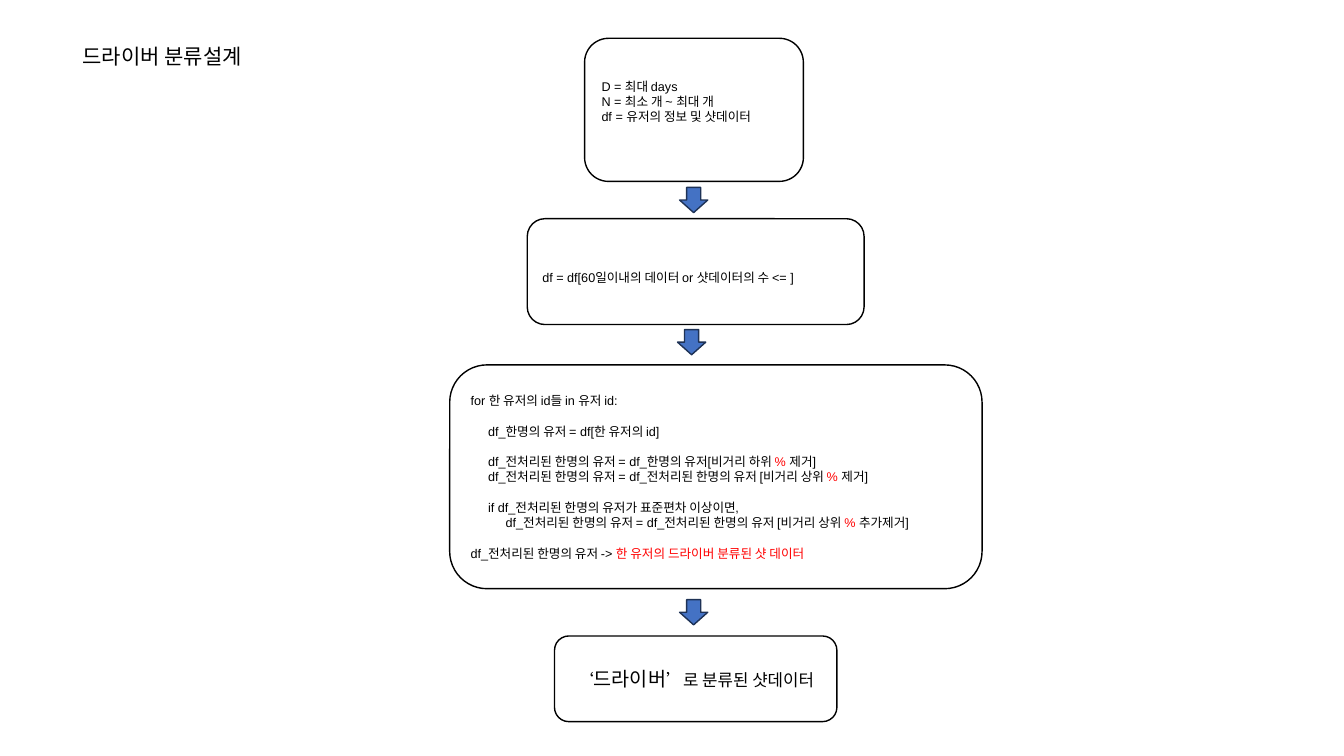
from pptx import Presentation
from pptx import util as u
from pptx.dml.color import RGBColor
from pptx.enum import shapes, text

COLORS = {"ink": "000000", "paper": "FFFFFF", "accent": "FF0000",
          "arrow": "4472C4", "arrow_line": "1E3256"}
FONT = "Arial"
WIDTH, HEIGHT = u.Inches(13.33), u.Inches(7.5)
BODY = 9
INDENT = u.Inches(0.174)
BLANK_LINE = u.Pt(11)


def color(name):
    return RGBColor.from_string(COLORS[name])


def area(left, top, width, height):
    """Turn percentages of the slide's size into lengths."""
    return (int(WIDTH * left / 100), int(HEIGHT * top / 100),
            int(WIDTH * width / 100), int(HEIGHT * height / 100))


def format_run(r, size, ink="ink"):
    r.font.name, r.font.size = FONT, u.Pt(size)
    r.font.color.rgb = color(ink)


def add_title(s, words, box):
    sp = s.shapes.title
    sp.left, sp.top, sp.width, sp.height = area(*box)
    tf = sp.text_frame
    tf.text = words
    tf.word_wrap = False
    tf.auto_size = text.MSO_AUTO_SIZE.SHAPE_TO_FIT_TEXT
    tf.vertical_anchor = text.MSO_ANCHOR.TOP
    p = tf.paragraphs[0]
    p.alignment = text.PP_ALIGN.LEFT
    format_run(p.runs[0], 15)


def add_preset(s, kind, box, fill, line):
    sp = s.shapes.add_shape(kind, *area(*box))
    sp.shadow.inherit = False
    sp.fill.solid()
    sp.fill.fore_color.rgb = color(fill)
    sp.line.color.rgb = color(line)
    sp.line.width = u.Pt(1)
    return sp


def add_arrow(s, left, top):
    add_preset(s, shapes.MSO_SHAPE.DOWN_ARROW, (left, top, 2.1, 3.33), "arrow", "arrow_line")


def add_step(s, box, lines, align=text.PP_ALIGN.LEFT, top=0.05, bottom=0.05):
    """Each line is (indent level, blank lines before, runs of (words, size, colour))."""
    sp = add_preset(s, shapes.MSO_SHAPE.ROUNDED_RECTANGLE, box, "paper", "ink")
    tf = sp.text_frame
    tf.word_wrap = True
    tf.vertical_anchor = text.MSO_ANCHOR.MIDDLE
    tf.margin_top, tf.margin_bottom = u.Inches(top), u.Inches(bottom)
    for i, (level, gap, runs) in enumerate(lines):
        p = tf.paragraphs[0] if i == 0 else tf.add_paragraph()
        p.alignment = align
        p.space_before = gap * BLANK_LINE
        p._p.get_or_add_pPr().set("marL", str(level * INDENT))
        for words, size, ink in runs:
            r = p.add_run()
            r.text = words
            format_run(r, size, ink)


def code(words, level=0, gap=0, accent="", rest=""):
    """A body line: plain words, then an accented part, then plain words."""
    parts = ((words, "ink"), (accent, "accent"), (rest, "ink"))
    return level, gap, [(part, BODY, ink) for part, ink in parts if part]


def main():
    prs = Presentation()
    prs.slide_width, prs.slide_height = WIDTH, HEIGHT
    s = prs.slides.add_slide(prs.slide_layouts.get_by_name("Title Only"))
    add_title(s, "드라이버 분류설계", (5.4, 5.07, 14.1, 4.67))

    add_step(s, (43.5, 5.07, 16.28, 18.93), [
        code("D = 최대 days"),
        code("N = 최소 개 ~ 최대 개"),
        code("df = 유저의 정보 및 샷데이터"),
    ], bottom=0.21)
    add_step(s, (39.23, 28.93, 25.06, 14), [
        code("df = df[60일이내의 데이터 or 샷데이터의 수 <= ]"),
    ], top=0.17)

    cleaned = "df_전처리된 한명의 유저"
    add_step(s, (33.46, 48.27, 39.61, 29.6), [
        code("for 한 유저의 id들 in 유저 id:"),
        code("df_한명의 유저 = df[한 유저의 id]", 1, 1),
        code(f"{cleaned} = df_한명의 유저[비거리 하위 ", 1, 1, "% ", "제거]"),
        code(f"{cleaned} = {cleaned} [비거리 상위 ", 1, 0, "% ", "제거]"),
        code(f"if {cleaned}가 표준편차 이상이면,", 1, 1),
        code(f"{cleaned} = {cleaned} [비거리 상위 ", 2, 0, "% ", "추가제거]"),
        code(f"{cleaned} -> ", 0, 1, "한 유저의 드라이버 분류된 샷 데이터"),
    ])
    add_step(s, (41.26, 84.13, 21.01, 11.33), [
        (0, 0, [("‘", 12, "ink"), ("드라이버", 14, "ink"), ("’로 분류된 샷데이터", 12, "ink")]),
    ], align=text.PP_ALIGN.CENTER)

    for left, top in ((50.56, 24.8), (50.41, 43.6), (50.56, 79.33)):
        add_arrow(s, left, top)
    prs.save("out.pptx")


if __name__ == "__main__":
    main()
